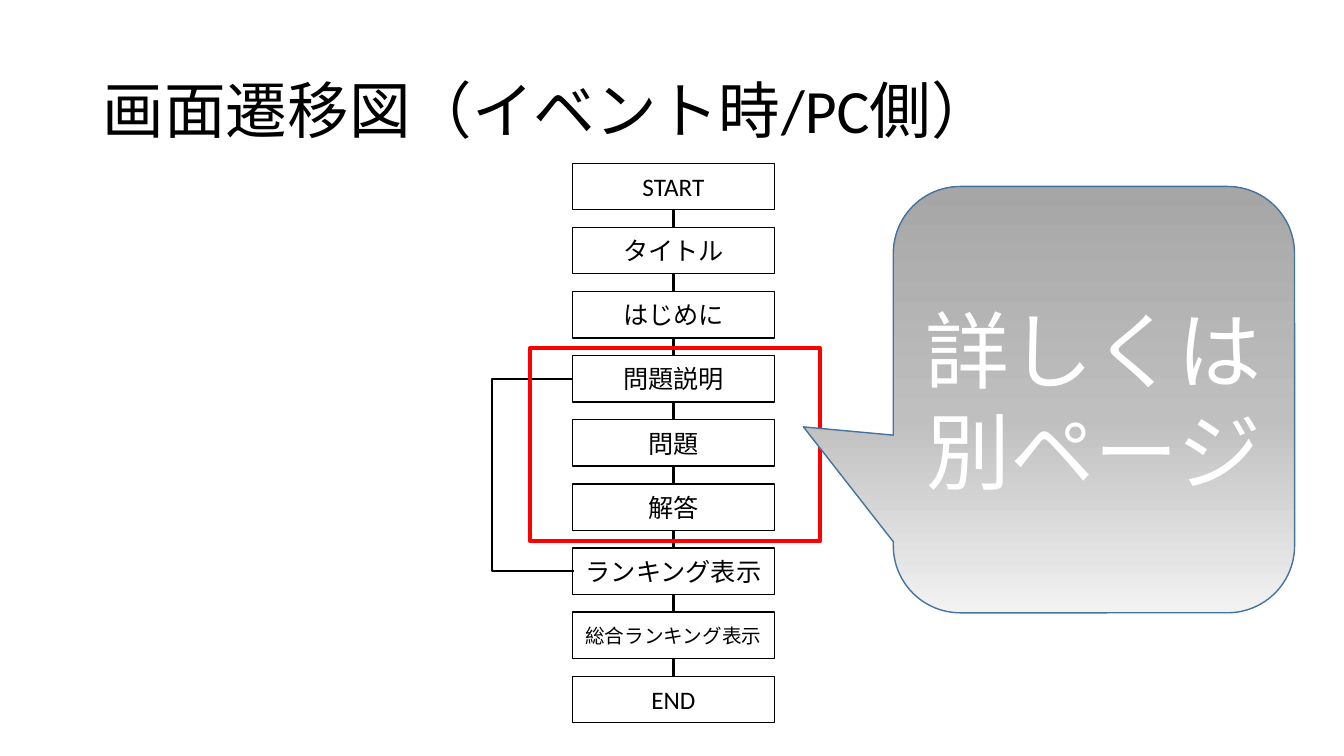
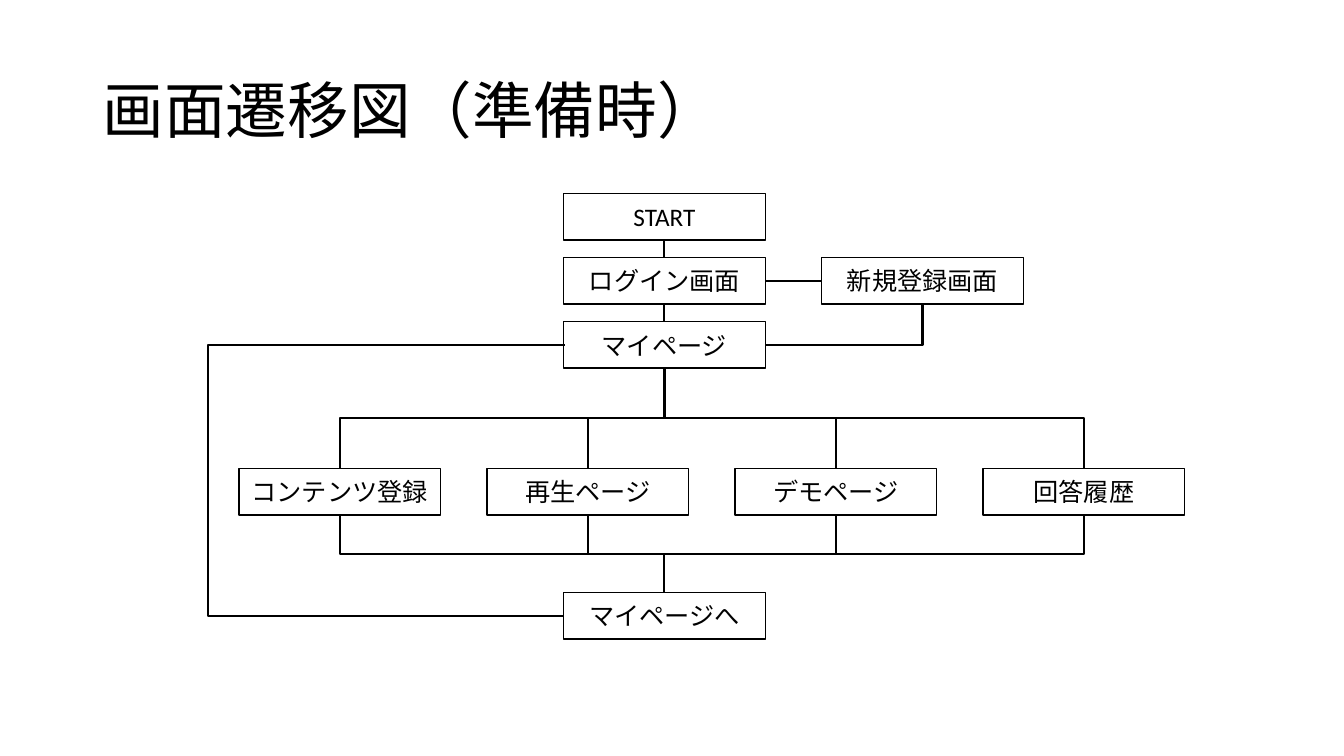
from itertools import pairwise

from lxml import etree
from pptx import Presentation
from pptx.dml.color import RGBColor
from pptx.enum import shapes, text
from pptx.oxml.ns import qn
from pptx.util import Inches, Pt

# Content
EVENT_TITLE = "画面遷移図（イベント時/PC側）"
EVENT_STEPS = ["START", "タイトル", "はじめに", "問題説明", "問題", "解答",
               "ランキング表示", "総合ランキング表示", "END"]
LOOP_FROM, LOOP_TO = "ランキング表示", "問題説明"
SMALL_STEPS = {"総合ランキング表示": 14}
CALLOUT = "詳しくは別ページ"

PREP_TITLE = "画面遷移図（準備時）"
PREP_STEPS = ["START", "ログイン画面", "マイページ"]
SIGN_UP = "新規登録画面"
PAGES = ["コンテンツ登録", "再生ページ", "デモページ", "回答履歴"]
RETURN = "マイページへ"

# Shared style
COLORS = {"ink": "000000", "paper": "FFFFFF", "focus": "FF0000",
          "callout_line": "43739E"}
CALLOUT_STOPS = [(0, "F2F2F2"), (46, "BFBFBF"), (100, "A6A6A6")]
FONT = "Calibri"
BOX_W, BOX_H = 2, 0.46
ROW = 5.09 / 8  # vertical step: nine boxes share the height of the event slide
TOP, LEFT, BOTTOM, RIGHT = range(4)  # connection sites of a rectangle
STRAIGHT, ELBOW = shapes.MSO_CONNECTOR.STRAIGHT, shapes.MSO_CONNECTOR.ELBOW


def rgb(name):
    return RGBColor.from_string(COLORS[name])


def write(sp, words, size, color="ink", align=text.PP_ALIGN.CENTER):
    tf = sp.text_frame
    tf.word_wrap = True
    tf.vertical_anchor = text.MSO_ANCHOR.MIDDLE
    tf.text = words
    p = tf.paragraphs[0]
    p.alignment = align
    font = p.runs[0].font
    font.name, font.size, font.color.rgb = FONT, Pt(size), rgb(color)
    return p


def add_slide(prs, title):
    s = prs.slides.add_slide(prs.slide_layouts[6])
    sp = s.shapes.add_textbox(*map(Inches, (0.92, 0.4, 11.5, 1.45)))
    write(sp, title, 44, align=text.PP_ALIGN.LEFT).line_spacing = 0.9
    return s


def add_shape(s, kind, x, y, w, h, line, width):
    sp = s.shapes.add_shape(kind, *map(Inches, (x, y, w, h)))
    sp.shadow.inherit = False
    sp.fill.background()
    sp.line.color.rgb, sp.line.width = rgb(line), Pt(width)
    return sp


def add_box(s, words, x, y):
    sp = add_shape(s, shapes.MSO_SHAPE.RECTANGLE, x, y, BOX_W, BOX_H, "ink", 1)
    write(sp, words, SMALL_STEPS.get(words, 18))
    return sp


def add_line(s, start, end, kind=STRAIGHT):
    c = s.shapes.add_connector(kind, *start, *end)
    c.line.color.rgb, c.line.width = rgb("ink"), Pt(1.5)
    etree.SubElement(c._element.spPr, qn("a:effectLst"))
    return c


def side(sp, site):
    across, down = {TOP: (1, 0), LEFT: (0, 1), BOTTOM: (1, 2), RIGHT: (2, 1)}[site]
    return sp.left + sp.width * across // 2, sp.top + sp.height * down // 2


def join(s, a, a_site, b, b_site):
    c = add_line(s, side(a, a_site), side(b, b_site))
    c.begin_connect(a, a_site)
    c.end_connect(b, b_site)


def corner(s, start, end):
    """Elbow with a single bend: across first, then up or down."""
    c = add_line(s, start, end, ELBOW)
    c._element.spPr.find(qn("a:prstGeom")).set("prst", "bentConnector2")


def loop(s, a, b, x):
    """Elbow that leaves and re-enters on the left, by way of column x."""
    (ax, ay), end = side(a, LEFT), side(b, LEFT)
    width = Inches(0.01)  # the bend is a multiple of the width, so it cannot be 0
    c = add_line(s, (ax + width, ay), end, ELBOW)
    bend = (ax + width - Inches(x)) * 100000 // width
    geom = c._element.spPr.find(qn("a:prstGeom"))
    guides = geom.find(qn("a:avLst"))
    if guides is None:
        guides = etree.SubElement(geom, qn("a:avLst"))
    etree.SubElement(guides, qn("a:gd"), name="adj1", fmla=f"val {bend}")


def drop(s, start, end):
    """Elbow that runs down or up, across at half height, then on."""
    (x1, y1), (x2, y2) = start, end
    c = add_line(s, start, end, ELBOW)
    w, h = abs(y2 - y1), abs(x2 - x1)  # swapped by the quarter turn
    c.left, c.top = (x1 + x2 - w) // 2, (y1 + y2 - h) // 2
    c.width, c.height = w, h
    xfrm = c._element.spPr.find(qn("a:xfrm"))
    xfrm.set("rot", str(90 * 60000))
    xfrm.set("flipH", str(int(y2 < y1)))
    xfrm.set("flipV", str(int(x2 > x1)))


def add_chain(s, steps, x, y):
    boxes = {step: add_box(s, step, x, y + i * ROW) for i, step in enumerate(steps)}
    for a, b in pairwise(boxes.values()):
        join(s, a, BOTTOM, b, TOP)
    return boxes


def add_callout(s):
    sp = add_shape(s, shapes.MSO_SHAPE.ROUNDED_RECTANGULAR_CALLOUT,
                   8.86, 1.85, 3.98, 4.23, "callout_line", 1)
    for i, value in enumerate((-0.724, 0.064, 0.167)):
        sp.adjustments[i] = value
    sp.fill.gradient()
    sp.fill.gradient_angle = 90
    stops = sp._element.spPr.find(qn("a:gradFill")).find(qn("a:gsLst"))
    for old in list(stops):
        stops.remove(old)
    for share, color in CALLOUT_STOPS:
        stop = etree.SubElement(stops, qn("a:gs"), pos=str(share * 1000))
        etree.SubElement(stop, qn("a:srgbClr"), val=color)
    write(sp, CALLOUT, 60, "paper")


def event_slide(prs):
    s = add_slide(prs, EVENT_TITLE)
    boxes = add_chain(s, EVENT_STEPS, 5.68, 1.62)
    loop(s, boxes[LOOP_FROM], boxes[LOOP_TO], 4.87)
    add_shape(s, shapes.MSO_SHAPE.RECTANGLE, 5.26, 3.45, 2.87, 1.92, "focus", 3)
    add_callout(s)


def prep_slide(prs):
    s = add_slide(prs, PREP_TITLE)
    x, y = 5.59, 1.92
    _, login, my_page = add_chain(s, PREP_STEPS, x, y).values()

    # Sign-up detour
    sign_up = add_box(s, SIGN_UP, 8.15, y + ROW)
    join(s, login, RIGHT, sign_up, LEFT)
    corner(s, side(my_page, RIGHT), side(sign_up, BOTTOM))

    # Pages that fan out and come back together
    pages = [add_box(s, page, 2.37 + i * 2.46, 4.65) for i, page in enumerate(PAGES)]
    back = add_box(s, RETURN, x, 5.88)
    for page in pages:
        drop(s, side(page, TOP), side(my_page, BOTTOM))
        drop(s, side(back, TOP), side(page, BOTTOM))
    loop(s, my_page, back, 2.01)


def main():
    prs = Presentation()
    prs.slide_width, prs.slide_height = Inches(13.33), Inches(7.5)
    event_slide(prs)
    prep_slide(prs)
    prs.save("out.pptx")


if __name__ == "__main__":
    main()
